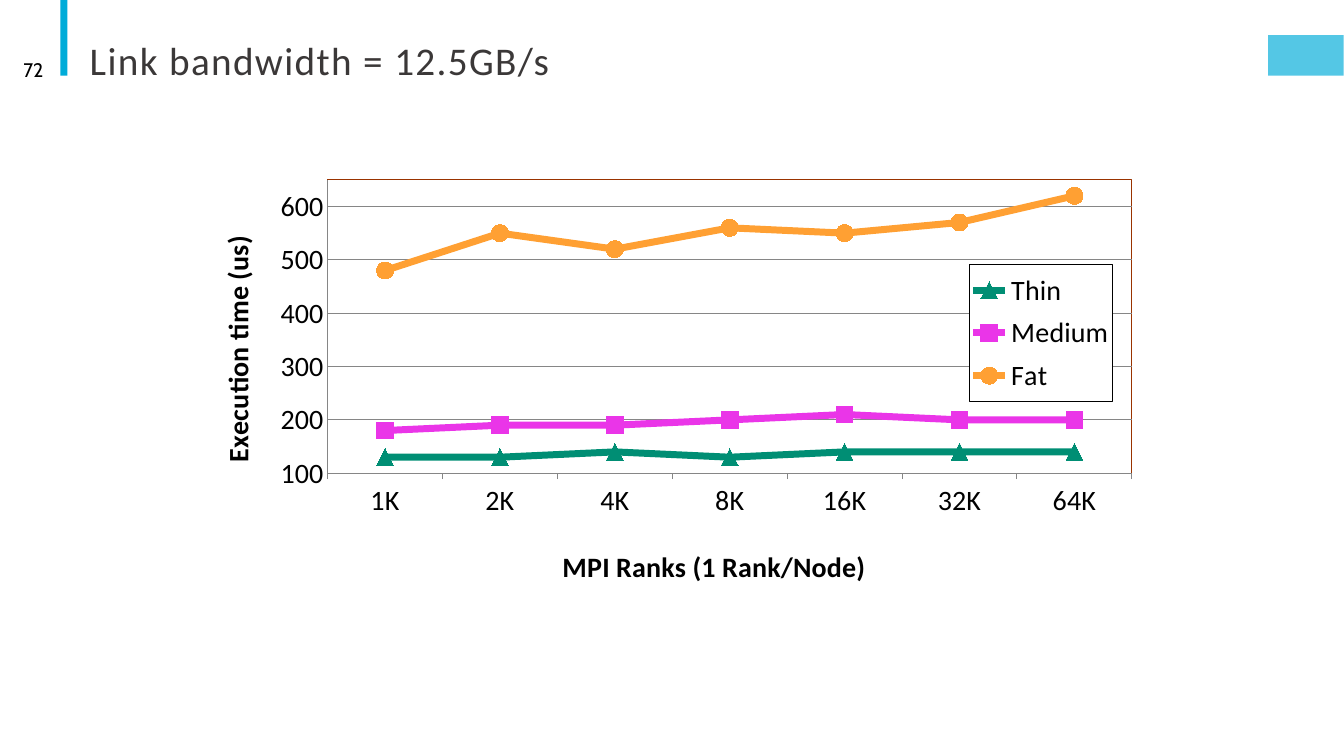
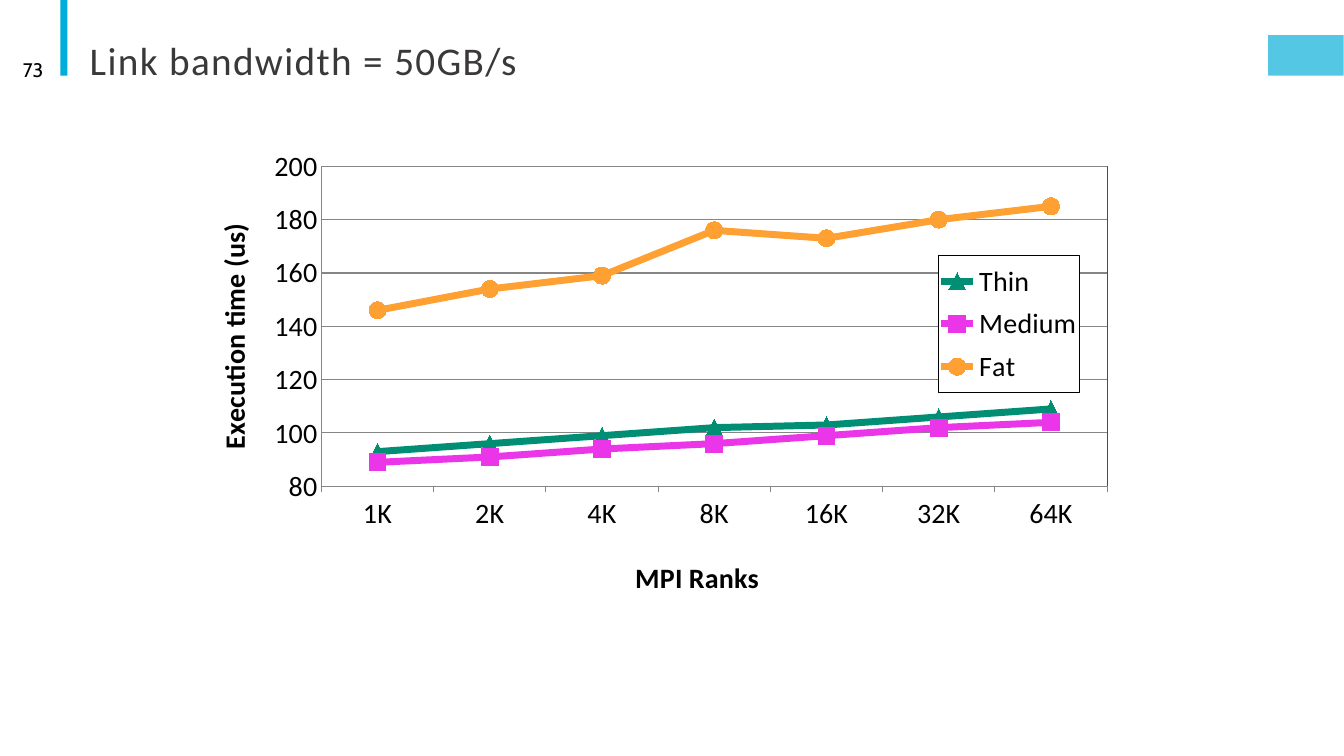
from lxml import etree
from pptx import Presentation
from pptx.chart.data import CategoryChartData
from pptx.dml.color import RGBColor
from pptx.enum.chart import XL_CHART_TYPE as ChartType, XL_LEGEND_POSITION as LegendPosition
from pptx.enum.chart import XL_MARKER_STYLE as Marker, XL_TICK_MARK as Tick
from pptx.enum.shapes import MSO_SHAPE as Shape
from pptx.enum.text import MSO_ANCHOR as Anchor, PP_ALIGN as Align
from pptx.oxml import parse_xml
from pptx.oxml.ns import nsdecls, qn
from pptx.util import Pt

COLORS = {
    "accent": "00ACD9", "title": "3B3838", "black": "000000", "white": "FFFFFF",
    "grid": "868686", "frame": "993300",
    "thin": "008E74", "medium": "EA35E8", "fat": "FFA033",
}
TITLE_FONT = {"name": "Calibri", "size": Pt(28), "bold": False}
NUMBER_FONT = {"name": "Cabin", "size": Pt(14)}
CHART_FONT = {"name": "Calibri", "size": Pt(20), "bold": False}
AXIS_TITLE_FONT = {"name": "Calibri", "size": Pt(20), "bold": True}

RANKS = ["1K", "2K", "4K", "8K", "16K", "32K", "64K"]
MARKERS = {"Thin": Marker.TRIANGLE, "Medium": Marker.SQUARE, "Fat": Marker.CIRCLE}
SLIDES = [
    {
        "number": 72, "title": "Link bandwidth = 12.5GB/s",
        "box": (138.24, 122.4, 684, 303.84), "rank_title": "MPI Ranks (1 Rank/Node)",
        "scale": {"minimum_scale": 100, "maximum_scale": 650, "major_unit": 100},
        "plot": (0.14, 0.02, 0.84, 0.69), "legend": (0.81, 0.22, 0.15, 0.32),
        "rank_place": (0.38, 0.87), "time_place": (0.02, 0.14),
        "series": {
            "Thin": (130, 130, 140, 130, 140, 140, 140),
            "Medium": (180, 190, 190, 200, 210, 200, 200),
            "Fat": (480, 550, 520, 560, 550, 570, 620),
        },
    },
    {
        "number": 73, "title": "Link bandwidth = 50GB/s",
        "box": (136.08, 98.64, 668.16, 336.24), "rank_title": "MPI Ranks",
        "scale": {"minimum_scale": 80, "maximum_scale": 200, "major_unit": 20},
        "plot": (0.14, 0.06, 0.84, 0.68), "legend": (0.8, 0.25, 0.15, 0.29),
        "rank_place": (0.47, 0.88), "time_place": (0.02, 0.17),
        "series": {
            "Thin": (93, 96, 99, 102, 103, 106, 109),
            "Medium": (89, 91, 94, 96, 99, 102, 104),
            "Fat": (146, 154, 159, 176, 173, 180, 185),
        },
    },
]


def set_attributes(target, values):
    """Set every attribute in a dict of format values."""
    for name, value in values.items():
        setattr(target, name, value)


def style_font(font, values, color):
    """Apply font values and a named colour."""
    set_attributes(font, values)
    font.color.rgb = RGBColor.from_string(COLORS[color])


def style_fill(fill, color):
    """Make a fill solid in a named colour."""
    fill.solid()
    fill.fore_color.rgb = RGBColor.from_string(COLORS[color])


def style_line(line, color, width):
    """Give a line a named colour and a width in points."""
    line.color.rgb = RGBColor.from_string(COLORS[color])
    line.width = Pt(width)


def add_bar(slide, box, opacity=100):
    """Add an accent rectangle with an opacity in percent."""
    shape = slide.shapes.add_shape(Shape.RECTANGLE, *map(Pt, box))
    shape.shadow.inherit = False
    style_fill(shape.fill, "accent")
    shape.line.fill.background()
    if opacity < 100:
        color = shape.fill._xPr.find(".//" + qn("a:srgbClr"))
        etree.SubElement(color, qn("a:alpha"), val=str(opacity * 1000))


def set_title(slide, text):
    """Place and format the title placeholder."""
    title = slide.shapes.title
    set_attributes(title, {"left": Pt(56.88), "top": Pt(18.72), "width": Pt(792), "height": Pt(44.64)})
    frame = title.text_frame
    set_attributes(frame, {"text": text, "vertical_anchor": Anchor.BOTTOM, "word_wrap": True})
    paragraph = frame.paragraphs[0]
    set_attributes(paragraph, {"alignment": Align.LEFT, "line_spacing": 0.85})
    run = paragraph.runs[0]
    style_font(run.font, TITLE_FONT, "title")
    run.font._element.set("spc", "100")


def add_number(slide, number):
    """Add the slide number at the left edge."""
    frame = slide.shapes.add_textbox(Pt(5.04), Pt(35.28), Pt(33.12), Pt(28.8)).text_frame
    set_attributes(frame, {"text": str(number), "vertical_anchor": Anchor.MIDDLE, "word_wrap": True})
    paragraph = frame.paragraphs[0]
    paragraph.alignment = Align.RIGHT
    style_font(paragraph.runs[0].font, NUMBER_FONT, "black")


def set_layout(element, place, inner=False):
    """Position a chart part by fractions of the chart area."""
    for old in element.findall(qn("c:layout")):
        element.remove(old)
    layout = parse_xml(f"<c:layout {nsdecls('c')}><c:manualLayout/></c:layout>")
    settings = [("layoutTarget", "inner")] if inner else []
    settings += [("xMode", "edge"), ("yMode", "edge"), *zip("xywh", place)]
    for name, value in settings:
        etree.SubElement(layout[0], qn("c:" + name), val=str(value))
    overlay = element.find(qn("c:overlay"))
    if overlay is not None:
        overlay.addprevious(layout)
    elif element.find(qn("c:tx")) is not None:
        element.find(qn("c:tx")).addnext(layout)
    else:
        element.insert(0, layout)


def box_format(fill, line):
    """Return chart shape properties with an optional fill and a thin outline."""
    paint = f'<a:solidFill><a:srgbClr val="{COLORS[fill]}"/></a:solidFill>' if fill else "<a:noFill/>"
    return parse_xml(
        f'<c:spPr {nsdecls("c", "a")}>{paint}<a:ln w="9525"><a:solidFill>'
        f'<a:srgbClr val="{COLORS[line]}"/></a:solidFill></a:ln></c:spPr>')


def style_axis(axis, text, place, tick, rotation):
    """Format an axis and its positioned title."""
    set_attributes(axis, {"major_tick_mark": tick, "minor_tick_mark": Tick.NONE})
    style_line(axis.format.line, "grid", 0.75)
    style_font(axis.tick_labels.font, CHART_FONT, "black")
    title = axis.axis_title
    title.text_frame.text = text
    style_font(title.text_frame.paragraphs[0].runs[0].font, AXIS_TITLE_FONT, "black")
    title.element.find(".//" + qn("a:bodyPr")).set("rot", str(rotation * 60000))
    set_layout(title.element, place)


def style_series(series):
    """Colour a series and its markers."""
    color = series.name.lower()
    series.smooth = False
    style_line(series.format.line, color, 5)
    set_attributes(series.marker, {"style": MARKERS[series.name], "size": 12})
    style_fill(series.marker.format.fill, color)
    style_line(series.marker.format.line, color, 0.75)


def style_legend(chart, place):
    """Add a framed legend over the plot."""
    chart.has_legend = True
    legend = chart.legend
    set_attributes(legend, {"position": LegendPosition.RIGHT, "include_in_layout": True})
    style_font(legend.font, CHART_FONT, "black")
    element = chart.element.find(".//" + qn("c:legend"))
    set_layout(element, place)
    element.find(qn("c:txPr")).addprevious(box_format("white", "black"))


def add_time_chart(slide, content):
    """Add the line chart of execution time by rank count."""
    data = CategoryChartData(number_format="General")
    data.categories = RANKS
    for name, values in content["series"].items():
        data.add_series(name, values)
    chart = slide.shapes.add_chart(ChartType.LINE_MARKERS, *map(Pt, content["box"]), data).chart
    chart.has_title = False
    style_font(chart.font, CHART_FONT, "black")
    chart.plots[0].vary_by_categories = False
    for series in chart.plots[0].series:
        style_series(series)
    style_axis(chart.category_axis, content["rank_title"], content["rank_place"], Tick.OUTSIDE, 0)
    style_axis(chart.value_axis, "Execution time (us)", content["time_place"], Tick.NONE, -90)
    set_attributes(chart.value_axis, {"has_major_gridlines": True, **content["scale"]})
    style_line(chart.value_axis.major_gridlines.format.line, "grid", 0.75)
    plot_area = chart.element.find(".//" + qn("c:plotArea"))
    set_layout(plot_area, content["plot"], inner=True)
    plot_area.append(box_format(None, "frame"))
    style_legend(chart, content["legend"])


def add_slide(presentation, content):
    """Build one bandwidth slide."""
    slide = presentation.slides.add_slide(presentation.slide_layouts[5])
    add_bar(slide, (43.2, 0, 5.04, 54))
    add_bar(slide, (905.76, 25.2, 54, 28.8), opacity=67)
    set_title(slide, content["title"])
    add_number(slide, content["number"])
    add_time_chart(slide, content)


def main():
    """Build and save the presentation."""
    presentation = Presentation()
    set_attributes(presentation, {"slide_width": Pt(960), "slide_height": Pt(540)})
    for content in SLIDES:
        add_slide(presentation, content)
    presentation.save("out.pptx")


if __name__ == "__main__":
    main()
